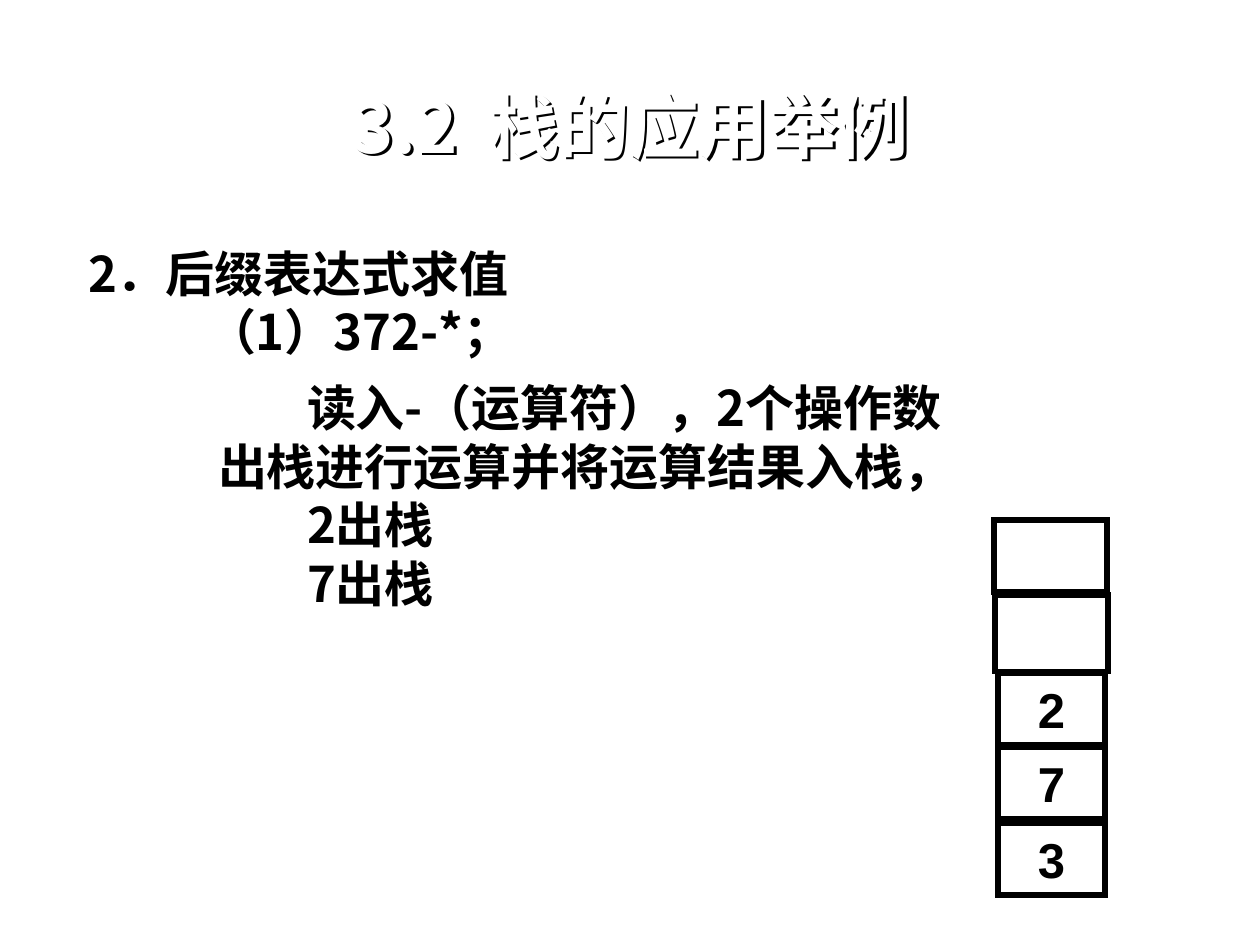
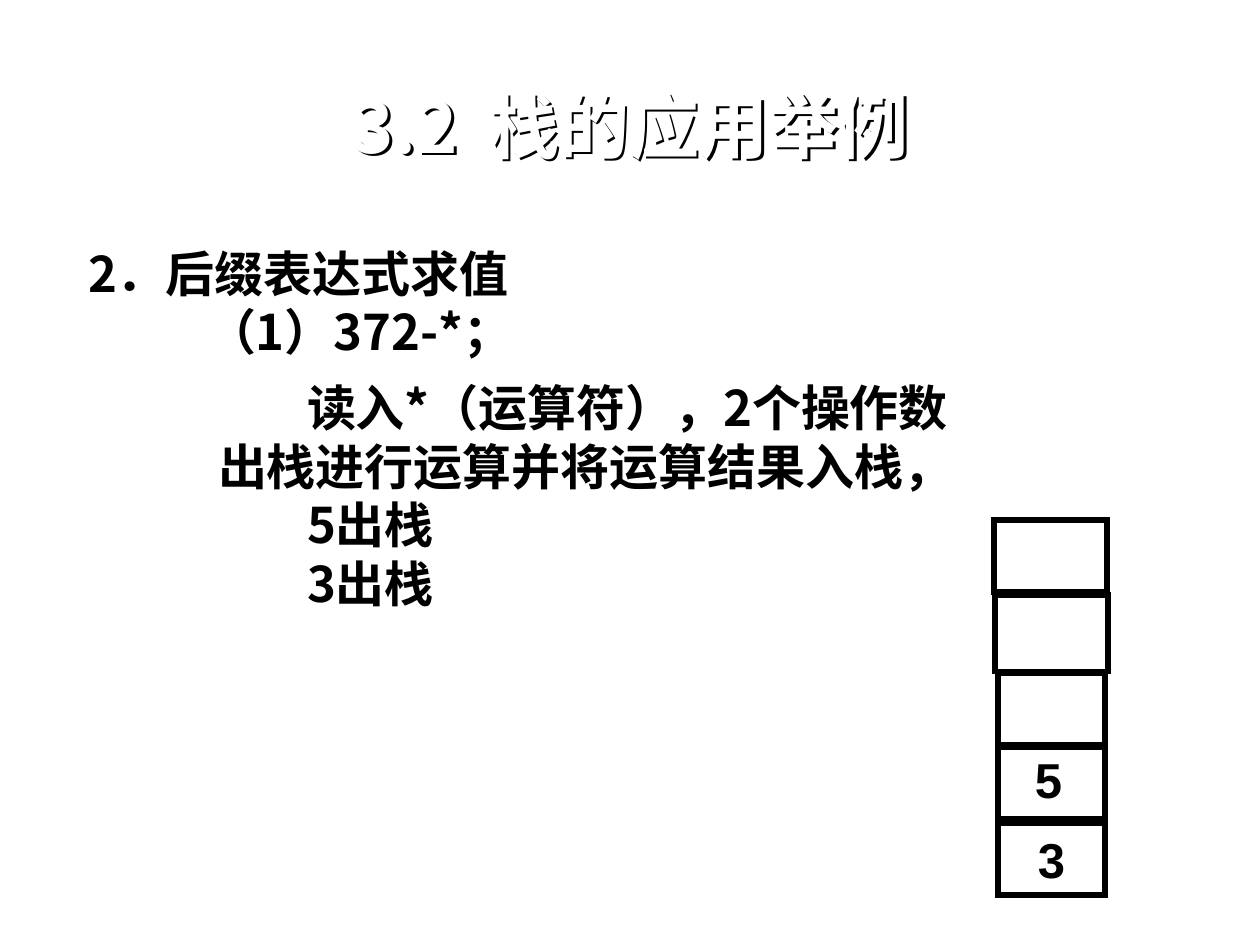
from lxml import etree
from pptx import Presentation, util as u
from pptx.dml.color import RGBColor
from pptx.enum import shapes, text
from pptx.oxml.ns import qn

PX = 914400 / 126
BLACK, WHITE = "000000", "FFFFFF"
CJK, LATIN = "Noto Sans CJK SC", "Arial"

# Stack cells from top to bottom: left, top, width, height
CELLS = [(994, 520, 113, 72), (995, 595, 113, 77), (998, 673, 107, 72),
         (998, 747, 107, 72), (998, 823, 107, 72)]
INDENT_ITEM, INDENT_WRAP, INDENT_FIRST = 119, 130, 219


def px(n):
    return u.Emu(round(n * PX))


def rgb(value):
    return RGBColor.from_string(value)


def add_text(p, content, font=CJK, size=28, color=BLACK, spacing=0):
    r = p.add_run()
    r.text = content
    r.font.size, r.font.bold, r.font.name = u.Pt(size), True, font
    r.font.color.rgb = rgb(color)
    props = r.font._element
    if spacing:
        props.set("spc", str(spacing * 100))
    east_asian = etree.Element(qn("a:ea"), typeface=CJK)
    props.find(qn("a:latin")).addnext(east_asian)
    return r


def cast_text_shadow(sp, offset):
    """Give an unfilled shape a hard shadow, which its text casts."""
    sp.fill.background()
    effects = etree.SubElement(sp._element.spPr, qn("a:effectLst"))
    outer = etree.SubElement(effects, qn("a:outerShdw"), blurRad="0",
                             dist=str(px(offset)), dir="2700000",
                             algn="tl", rotWithShape="0")
    etree.SubElement(outer, qn("a:srgbClr"), val=BLACK)


class Deck:
    def __init__(self):
        self.prs = Presentation()
        self.prs.slide_width, self.prs.slide_height = px(1260), px(945)
        self.s = None

    def slide(self):
        self.s = self.prs.slides.add_slide(self.prs.slide_layouts[5])

    def frame(self, sp, anchor, inset_x=13, inset_y=6):
        tf = sp.text_frame
        tf.word_wrap, tf.auto_size = True, text.MSO_AUTO_SIZE.NONE
        tf.vertical_anchor = anchor
        tf.margin_left = tf.margin_right = px(inset_x)
        tf.margin_top = tf.margin_bottom = px(inset_y)
        return tf

    def title(self, number, words):
        sp = self.s.shapes.title
        sp.left, sp.top, sp.width, sp.height = map(px, (95, 52, 1071, 157))
        cast_text_shadow(sp, 4)
        p = self.frame(sp, text.MSO_ANCHOR.MIDDLE, 11, 5).paragraphs[0]
        p.alignment, p.line_spacing = text.PP_ALIGN.CENTER, 0.9
        look = dict(size=40, color=WHITE)
        add_text(p, number, **look)
        add_text(p, " ", spacing=9, **look)
        add_text(p, words, font=LATIN, **look)

    def textbox(self, left, top, width, height):
        sp = self.s.shapes.add_textbox(*map(px, (left, top, width, height)))
        return self.frame(sp, text.MSO_ANCHOR.TOP)

    def body(self, lines):
        """Write (indent, space before in points, text) lines."""
        tf = self.textbox(75, 237, 1080, 383)
        for i, (indent, before, content) in enumerate(lines):
            p = tf.add_paragraph() if i else tf.paragraphs[0]
            p._p.get_or_add_pPr().set("marL", str(px(indent)))
            if before:
                p.space_before = u.Pt(before)
            add_text(p, content)

    def cell(self, box, value):
        sp = self.s.shapes.add_shape(shapes.MSO_SHAPE.RECTANGLE, *map(px, box))
        sp.shadow.inherit = False
        sp.fill.solid()
        sp.fill.fore_color.rgb = rgb(WHITE)
        sp.line.color.rgb, sp.line.width = rgb(BLACK), u.Pt(3)
        etree.SubElement(sp._element.spPr.find(qn("a:ln")), qn("a:miter"), lim="800000")
        if value:
            self.centred(self.frame(sp, text.MSO_ANCHOR.MIDDLE), value)

    def centred(self, tf, value):
        p = tf.paragraphs[0]
        p.alignment = text.PP_ALIGN.CENTER
        add_text(p, value, font=LATIN)

    def label(self, box, value):
        self.centred(self.textbox(*box), value)

    def evaluation_step(self, operator, popped, stack):
        self.slide()
        self.title("3.2", "栈的应用举例")
        self.body([
            (0, 0, "2．后缀表达式求值"),
            (INDENT_ITEM, 0, "（1）372-*；"),
            (INDENT_FIRST, 9.5, f"读入{operator}（运算符），2个操作数"),
            (INDENT_WRAP, 0, "出栈进行运算并将运算结果入栈，"),
            *((INDENT_FIRST, 0, f"{value}出栈") for value in popped),
        ])
        for box, value in zip(CELLS, stack):
            self.cell(box, value)


def main():
    deck = Deck()
    deck.evaluation_step("-", "27", ["", "", "2", "7", "3"])
    deck.evaluation_step("*", "53", ["", "", "", "", "3"])
    deck.label((1022, 743, 52, 72), "5")
    deck.prs.save("out.pptx")


if __name__ == "__main__":
    main()
